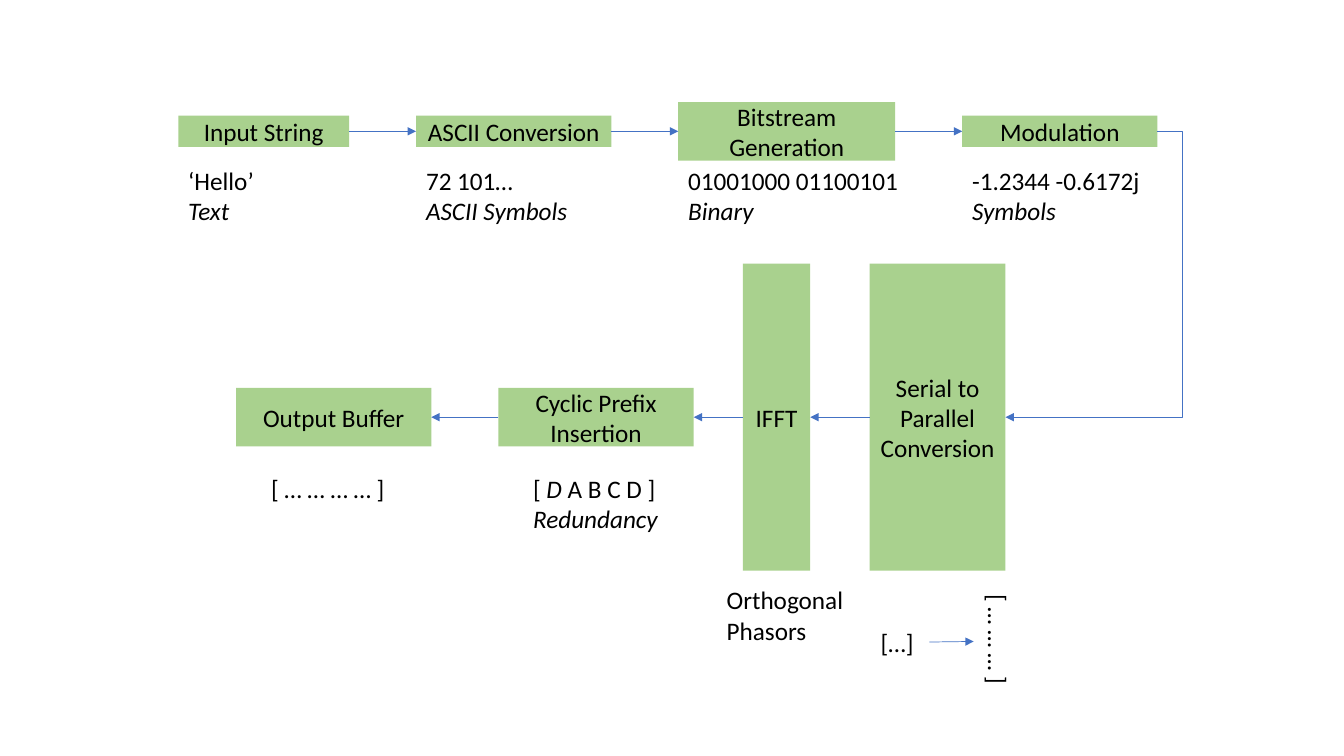
"""Build the slide showing the transmitter chain from input string to output buffer."""
from lxml import etree
from pptx import Presentation
from pptx.dml.color import RGBColor
from pptx.enum import shapes, text
from pptx.oxml.ns import qn
from pptx.util import Pt

COLORS = {"stage": "A9D18E", "arrow": "4472C4", "ink": "000000"}
SMALL, TALL, COLUMN = 22.3, 41.8, 219.2
TOP_ROW, BOTTOM_ROW = 93.8, 298
LEFT, RIGHT = 1, 3


def write(frame, content, size=18, font="Calibri", align=text.PP_ALIGN.LEFT,
          anchor=text.MSO_ANCHOR.TOP):
    """Fill a frame line by line; underscores switch italics on and off."""
    frame.word_wrap = True
    frame.vertical_anchor = anchor
    for number, line in enumerate(content.split("\n")):
        paragraph = frame.add_paragraph() if number else frame.paragraphs[0]
        paragraph.alignment = align
        for part, words in enumerate(line.split("_")):
            if words:
                run = paragraph.add_run()
                run.text = words
                run.font.size = Pt(size)
                run.font.name = font
                run.font.italic = part % 2 == 1
                run.font.color.rgb = RGBColor.from_string(COLORS["ink"])


def draw_arrow(kind, start=(0, 0), end=(0, 0)):
    """Add a thin connector with a triangular head."""
    arrow = slide.shapes.add_connector(kind, *map(Pt, start + end))
    arrow.line.width = Pt(0.5)
    arrow.line.color.rgb = RGBColor.from_string(COLORS["arrow"])
    etree.SubElement(arrow.line._get_or_add_ln(), qn("a:tailEnd"), type="triangle")
    etree.SubElement(arrow._element.spPr, qn("a:effectLst"))
    return arrow


deck = Presentation()
deck.slide_width, deck.slide_height = Pt(960), Pt(540)
slide = deck.slides.add_slide(deck.slide_layouts[6])

stages = []
left = 127.4
for label, width, height in [
    ("Input String", 122, SMALL),
    ("ASCII Conversion", 139.5, SMALL),
    ("Bitstream Generation", 155, TALL),
    ("Modulation", 139.5, SMALL),
]:
    stages.append((label, left, TOP_ROW, width, height))
    left += width + 47.8
stages += [
    ("Serial to Parallel Conversion", 621.2, BOTTOM_ROW, 97, COLUMN),
    ("IFFT", 530.6, BOTTOM_ROW, 48.2, COLUMN),
    ("Cyclic Prefix Insertion", 356, BOTTOM_ROW, 139.5, TALL),
    ("Output Buffer", 168.6, BOTTOM_ROW, 139.5, TALL),
]

chain = []
for label, left, middle, width, height in stages:
    stage = slide.shapes.add_shape(shapes.MSO_SHAPE.RECTANGLE, Pt(left),
                                   Pt(middle - height / 2), Pt(width), Pt(height))
    stage.shadow.inherit = False
    stage.fill.solid()
    stage.fill.fore_color.rgb = RGBColor.from_string(COLORS["stage"])
    stage.line.fill.background()
    write(stage.text_frame, label, align=text.PP_ALIGN.CENTER,
          anchor=text.MSO_ANCHOR.MIDDLE)
    chain.append(stage)

for source, target in zip(chain, chain[1:]):
    turns = source.top + source.height < target.top
    forward = target.left > source.left
    kind = shapes.MSO_CONNECTOR.ELBOW if turns else shapes.MSO_CONNECTOR.STRAIGHT
    flow = draw_arrow(kind)
    flow.begin_connect(source, RIGHT if forward or turns else LEFT)
    flow.end_connect(target, LEFT if forward else RIGHT)
    if turns:
        bend = flow._element.spPr.find(qn("a:prstGeom")).get_or_add_avLst()
        etree.SubElement(bend, qn("a:gd"), name="adj1", fmla="val -16600")

draw_arrow(shapes.MSO_CONNECTOR.STRAIGHT, (663.8, 458.6), (695.5, 458.2))

for caption, left, top, width, height, turn in [
    ("‘Hello’\n_Text_", 127.4, 114.5, 114, 51, 0),
    ("72 101…\n_ASCII Symbols_", 297.2, 114.5, 131, 51, 0),
    ("01001000 01100101\n_Binary_", 484.5, 114.5, 168.5, 51, 0),
    ("-1.2344 -0.6172j\n_Symbols_", 687.3, 114.5, 139.5, 51, 0),
    ("Orthogonal\nPhasors", 512, 414, 114, 51, 0),
    ("[…]", 622, 444.2, 42, 29, 0),
    (" [ … … … ]", 671, 440.6, 83.5, 29, 90),
    ("[ … … … … ]", 186.5, 334.4, 104.4, 29, 0),
    ("[ _D_ A B C D ]\n_Redundancy_", 373.7, 334.4, 104.4, 51, 0),
]:
    example = slide.shapes.add_textbox(Pt(left), Pt(top), Pt(width), Pt(height))
    example.rotation = turn
    write(example.text_frame, caption)

deck.save("out.pptx")
